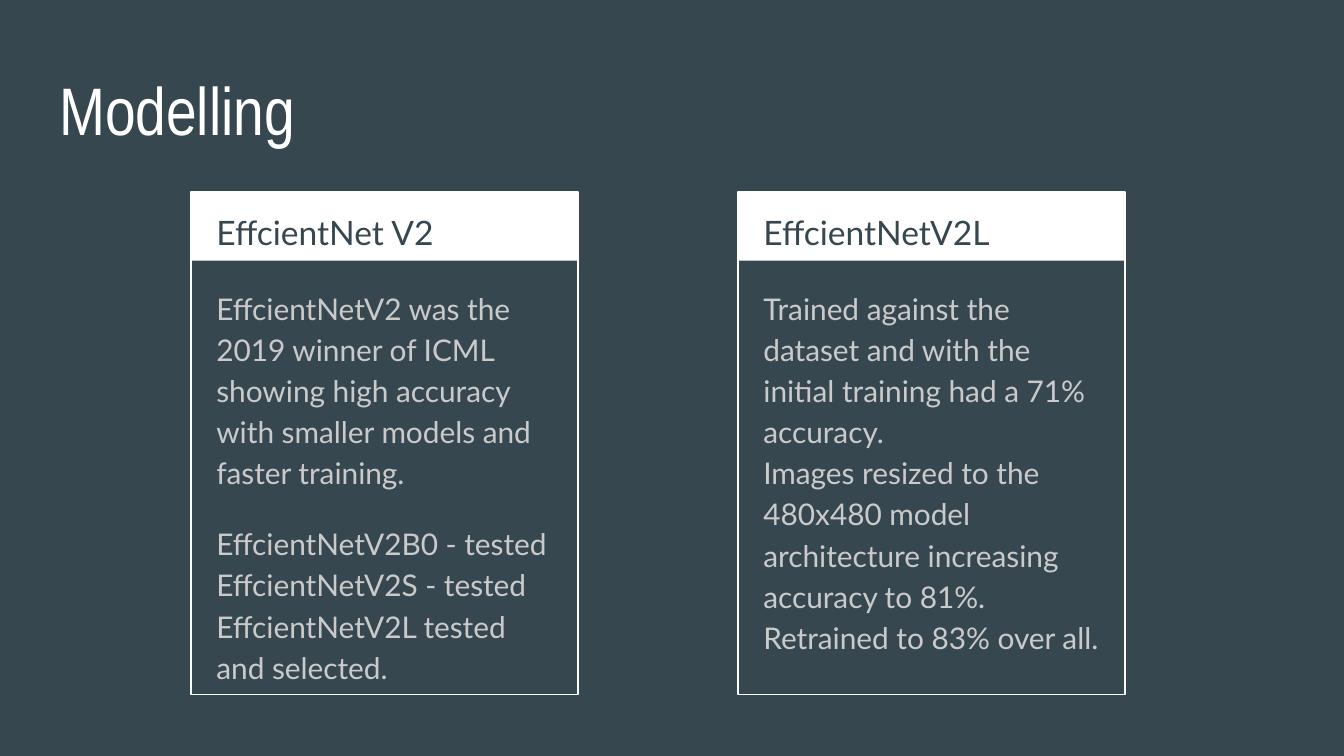
import dataclasses

import pptx
import pptx.dml.color
import pptx.enum.shapes
import pptx.enum.text
import pptx.oxml
import pptx.util

Inches = pptx.util.Inches
Pt = pptx.util.Pt


@dataclasses.dataclass(frozen=True)
class Theme:
    """Hold the colours, fonts and type sizes of the slide."""
    back: str = "37474F"
    light: str = "FFFFFF"
    soft: str = "CACACA"
    head: str = "Arial Narrow"
    body: str = "Lato"
    big: int = 36
    mid: int = 18
    small: int = 16


THEME = Theme()

CARDS = [
    ("EffcientNet V2",
     "EffcientNetV2 was the 2019 winner of ICML showing high accuracy "
     "with smaller models and faster training.\n"
     "EffcientNetV2B0 - tested\vEffcientNetV2S - tested\v"
     "EffcientNetV2L tested and selected."),
    ("EffcientNetV2L",
     "Trained against the dataset and with the initial training had a 71% accuracy.\v"
     "Images resized to the 480x480 model architecture increasing accuracy to 81%.\v"
     "Retrained to 83% over all."),
]


def tint(code):
    """Turn a hex code into a colour."""
    return pptx.dml.color.RGBColor.from_string(code)


def place(shape, left, top, width, height):
    """Move and size a shape in inches."""
    shape.left, shape.top = Inches(left), Inches(top)
    shape.width, shape.height = Inches(width), Inches(height)


def write(shape, text, font, size, color, anchor, space=1.0):
    """Set plain left-aligned text without bullets in a placeholder."""
    frame = shape.text_frame
    frame.text = text
    frame.word_wrap = True
    frame.auto_size = pptx.enum.text.MSO_AUTO_SIZE.NONE
    frame.vertical_anchor = anchor
    frame.margin_left = frame.margin_right = Inches(0.1)
    frame.margin_top = frame.margin_bottom = Inches(0.1)
    for index, para in enumerate(frame.paragraphs):
        para.alignment = pptx.enum.text.PP_ALIGN.LEFT
        para.line_spacing = space
        para.space_before = Pt(size if index else 0)
        para.space_after = Pt(0)
        props = para._p.get_or_add_pPr()
        props.set("marL", "0")
        props.set("indent", "0")
        props.append(pptx.oxml.parse_xml(
            '<a:buNone xmlns:a="http://schemas.openxmlformats.org/drawingml/2006/main"/>'))
        for run in para.runs:
            run.font.name = font
            run.font.size = Pt(size)
            run.font.bold = False
            run.font.color.rgb = tint(color)


def panel(slide, left, top, width, height, bar):
    """Draw the framed box with its header bar behind the text."""
    group = slide.shapes.add_group_shape()
    rect = pptx.enum.shapes.MSO_SHAPE.RECTANGLE
    strip, frame = [
        group.shapes.add_shape(rect, Inches(left), Inches(top), Inches(width), Inches(tall))
        for tall in (bar, height)]
    strip.fill.solid()
    strip.fill.fore_color.rgb = tint(THEME.light)
    strip.line.fill.background()
    frame.fill.background()
    frame.line.color.rgb = tint(THEME.light)
    frame.line.width = Pt(0.75)
    for shape in (strip, frame):
        shape.shadow.inherit = False
    slide.shapes._spTree.insert(2, group._element)


def card(slide, label, body, words, left, top, width, height):
    """Fill one box with a header and a body text."""
    panel(slide, left, top, width, height, 0.51)
    upper = pptx.enum.text.MSO_ANCHOR.TOP
    place(label, left + 0.09, top, 2.73, 0.5)
    write(label, words[0], THEME.body, THEME.mid, THEME.back, upper, 1.15)
    place(body, left + 0.09, top + 0.59, 2.71, height - 0.68)
    write(body, words[1], THEME.body, THEME.small, THEME.soft, upper, 1.15)
    body.text_frame.paragraphs[-1].space_after = Pt(THEME.small)


def title(slide, text, left, top, width, height):
    """Set the slide title."""
    shape = slide.shapes.title
    place(shape, left, top, width, height)
    write(shape, text, THEME.head, THEME.big, THEME.light,
          pptx.enum.text.MSO_ANCHOR.MIDDLE)


def main():
    """Build and save the slide."""
    deck = pptx.Presentation()
    deck.slide_width = Inches(10)
    deck.slide_height = deck.slide_width * 9 // 16
    slide = deck.slides.add_slide(deck.slide_layouts.get_by_name("Comparison"))
    slide.background.fill.solid()
    slide.background.fill.fore_color.rgb = tint(THEME.back)
    title(slide, "Modelling", 0.34, 0.49, 9.32, 0.63)
    slots = list(slide.placeholders)[1:]
    for index, words in enumerate(CARDS):
        label, body = slots[2 * index:2 * index + 2]
        card(slide, label, body, words, 1.42 + 4.07 * index, 1.43, 2.88, 3.74)
    deck.save("out.pptx")


if __name__ == "__main__":
    main()
